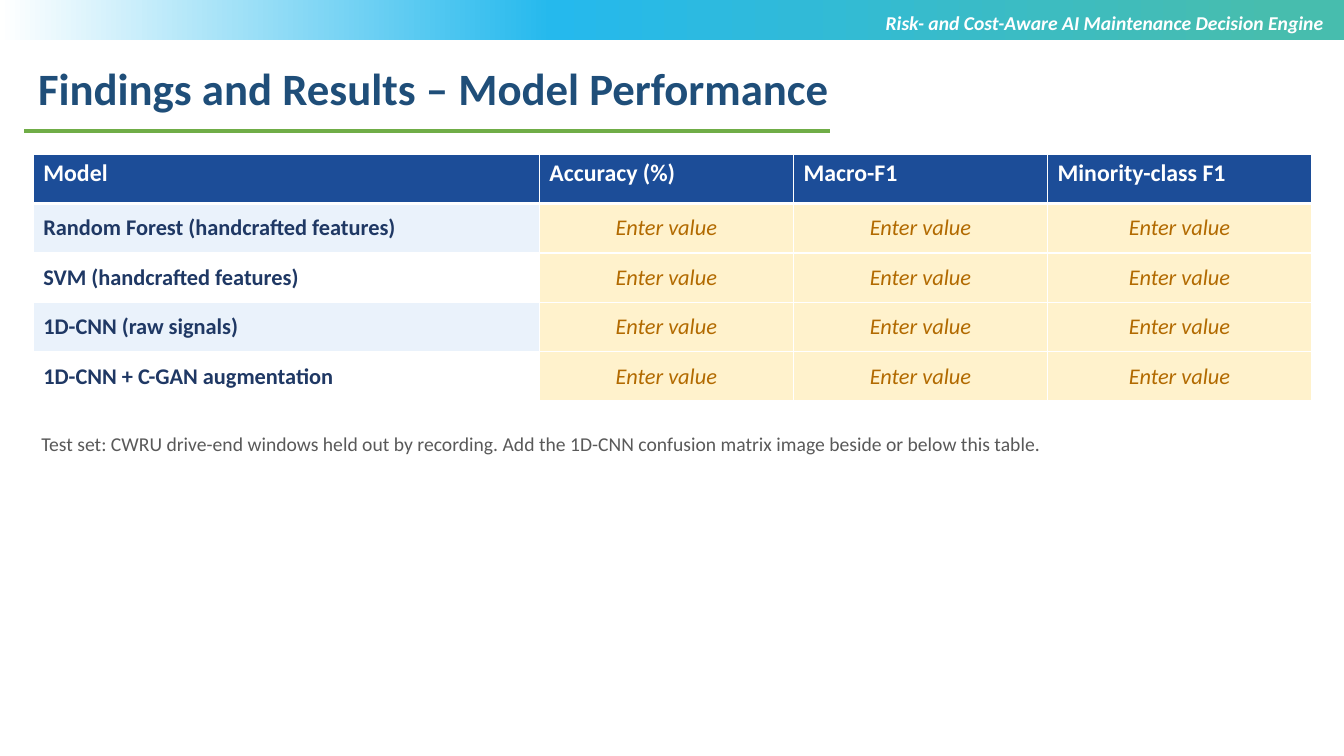
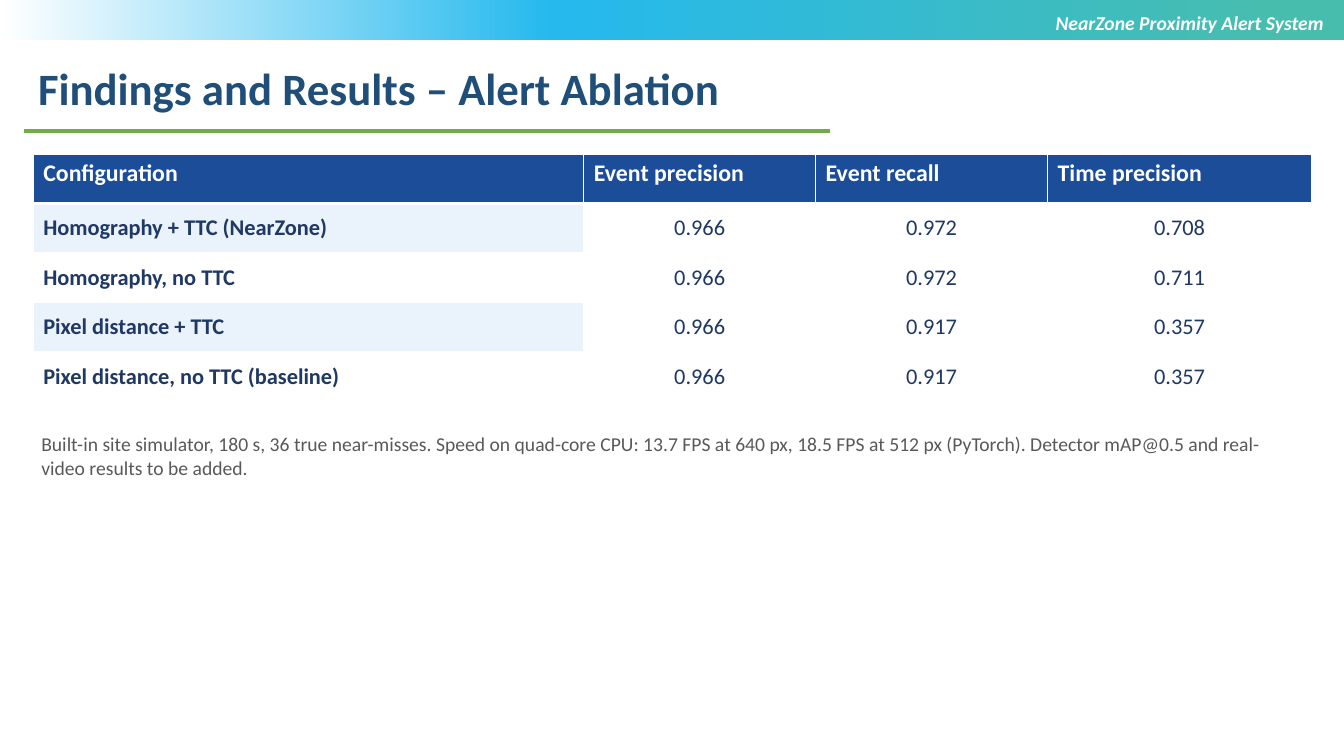
"""Build two results slides that share a band, a title style and a table style."""
from lxml.etree import SubElement
from copy import deepcopy
from pptx import Presentation
from pptx.dml.color import RGBColor as RGB
from pptx.enum.shapes import MSO_CONNECTOR as CONN, MSO_SHAPE as SHAPE
from pptx.enum.text import MSO_ANCHOR as ANCHOR, MSO_AUTO_SIZE as AUTO, PP_ALIGN as ALIGN
from pptx.oxml.ns import qn
from pptx.util import Inches, Pt

FONT = "Calibri"
WIDTH, HEIGHT = 13.33, 7.5
ROW_H = 0.49
COLORS = {
    "teal": "47BDAE", "sky": "25B9ED", "white": "FFFFFF", "title": "1F4E79",
    "rule": "70AD47", "header": "1C4D98", "stripe": "EAF2FB", "body": "1F3864",
    "pending": "B26A00", "pending_fill": "FFF2CC", "note": "595959",
}
BAND_STOPS = [(0.05, "teal"), (0.59, "sky"), (1, "white")]
STYLES = {
    "title": {"size": 32, "color": "title", "bold": True},
    "project": {"size": 14, "color": "white", "bold": True, "italic": True},
    "note": {"size": 14, "color": "note"},
    "header": {"size": 17, "color": "white", "bold": True},
    "label": {"size": 16, "color": "body", "bold": True},
    "value": {"size": 16, "color": "body", "bold": False},
    "pending": {"size": 16, "color": "pending", "bold": False, "italic": True},
}
SLIDES = [
    {
        "project": "Risk- and Cost-Aware AI Maintenance Decision Engine",
        "title": "Findings and Results – Model Performance",
        "widths": [5.02, 2.52, 2.52, 2.62],
        "rows": [
            ["Model", "Accuracy (%)", "Macro-F1", "Minority-class F1"],
            ["Random Forest (handcrafted features)"] + ["Enter value"] * 3,
            ["SVM (handcrafted features)"] + ["Enter value"] * 3,
            ["1D-CNN (raw signals)"] + ["Enter value"] * 3,
            ["1D-CNN + C-GAN augmentation"] + ["Enter value"] * 3,
        ],
        "value_style": "pending",
        "value_fill": "pending_fill",
        "note": "Test set: CWRU drive-end windows held out by recording. "
                "Add the 1D-CNN confusion matrix image beside or below this table.",
    },
    {
        "project": "NearZone Proximity Alert System",
        "title": "Findings and Results – Alert Ablation",
        "widths": [5.46, 2.3, 2.3, 2.62],
        "rows": [
            ["Configuration", "Event precision", "Event recall", "Time precision"],
            ["Homography + TTC (NearZone)", "0.966", "0.972", "0.708"],
            ["Homography, no TTC", "0.966", "0.972", "0.711"],
            ["Pixel distance + TTC", "0.966", "0.917", "0.357"],
            ["Pixel distance, no TTC (baseline)", "0.966", "0.917", "0.357"],
        ],
        "value_style": "value",
        "value_fill": "white",
        "note": "Built-in site simulator, 180 s, 36 true near-misses. "
                "Speed on quad-core CPU: 13.7 FPS at 640 px, 18.5 FPS at 512 px (PyTorch). "
                "Detector mAP@0.5 and real-video results to be added.",
    },
]


def rgb(name):
    return RGB.from_string(COLORS[name])


def write(tf, text, style, align=ALIGN.LEFT):
    p = tf.paragraphs[0]
    p.alignment = align
    r = p.add_run()
    r.text = text
    r.font.name = FONT
    for key, value in STYLES[style].items():
        if key == "color":
            r.font.color.rgb = rgb(value)
        else:
            setattr(r.font, key, Pt(value) if key == "size" else value)


def add_text(s, box, text, style, align=ALIGN.LEFT, inset=None):
    tf = s.shapes.add_textbox(*map(Inches, box)).text_frame
    tf.word_wrap = True
    tf.auto_size = AUTO.SHAPE_TO_FIT_TEXT
    if inset is not None:
        for side in ("left", "top", "right", "bottom"):
            setattr(tf, f"margin_{side}", Inches(inset))
    write(tf, text, style, align)


def add_band(s):
    sp = s.shapes.add_shape(SHAPE.RECTANGLE, 0, 0, Inches(WIDTH), Inches(0.4))
    sp.shadow.inherit = False
    sp.line.fill.background()
    sp.fill.gradient()
    sp.fill.gradient_angle = 180
    stops = sp._element.spPr.find(qn("a:gradFill")).find(qn("a:gsLst"))
    stops.append(deepcopy(stops[-1]))
    for stop, (position, color) in zip(sp.fill.gradient_stops, BAND_STOPS):
        stop.position = position
        stop.color.rgb = rgb(color)


def add_rule(s):
    line = s.shapes.add_connector(CONN.STRAIGHT, *map(Inches, (0.24, 1.3, 8.23, 1.3)))
    line.line.color.rgb = rgb("rule")
    line.line.width = Pt(2.25)
    SubElement(line._element.spPr, qn("a:effectLst"))


def set_borders(cell, bottom):
    tc_pr = cell._tc.get_or_add_tcPr()
    for side, width in zip("LRTB", (1, 1, 1, bottom)):
        ln = SubElement(tc_pr, qn(f"a:ln{side}"), w=str(Pt(width)))
        fill = SubElement(ln, qn("a:solidFill"))
        SubElement(fill, qn("a:srgbClr"), val=COLORS["white"])


def format_cell(cell, text, style, fill, header, align):
    set_borders(cell, 3 if header else 1)
    cell.fill.solid()
    cell.fill.fore_color.rgb = rgb(fill)
    cell.vertical_anchor = ANCHOR.TOP if header else ANCHOR.MIDDLE
    write(cell.text_frame, text, style, align)


def add_results(s, rows, widths, value_style, value_fill):
    box = (0.33, 1.53, sum(widths), ROW_H * len(rows))
    table = s.shapes.add_table(len(rows), len(widths), *map(Inches, box)).table
    for column, width in zip(table.columns, widths):
        column.width = Inches(width)
    for i, row in enumerate(rows):
        table.rows[i].height = Inches(ROW_H)
        for j, text in enumerate(row):
            align = ALIGN.LEFT
            if i == 0:
                style, fill = "header", "header"
            elif j == 0:
                style, fill = "label", "stripe" if i % 2 else "white"
            else:
                style, fill, align = value_style, value_fill, ALIGN.CENTER
            format_cell(table.cell(i, j), text, style, fill, i == 0, align)


def add_slide(prs, content):
    s = prs.slides.add_slide(prs.slide_layouts[6])
    add_band(s)
    add_text(s, (0.28, 0.55, 11.62, 0.71), content["title"], "title")
    add_rule(s)
    add_text(s, (3.5, 0.06, 9.73, 0.71), content["project"], "project", ALIGN.RIGHT)
    add_results(s, content["rows"], content["widths"],
                content["value_style"], content["value_fill"])
    add_text(s, (0.33, 4.21, 12.67, 0.77), content["note"], "note", inset=0.08)


def main():
    prs = Presentation()
    prs.slide_width, prs.slide_height = Inches(WIDTH), Inches(HEIGHT)
    for content in SLIDES:
        add_slide(prs, content)
    prs.save("out.pptx")


if __name__ == "__main__":
    main()
